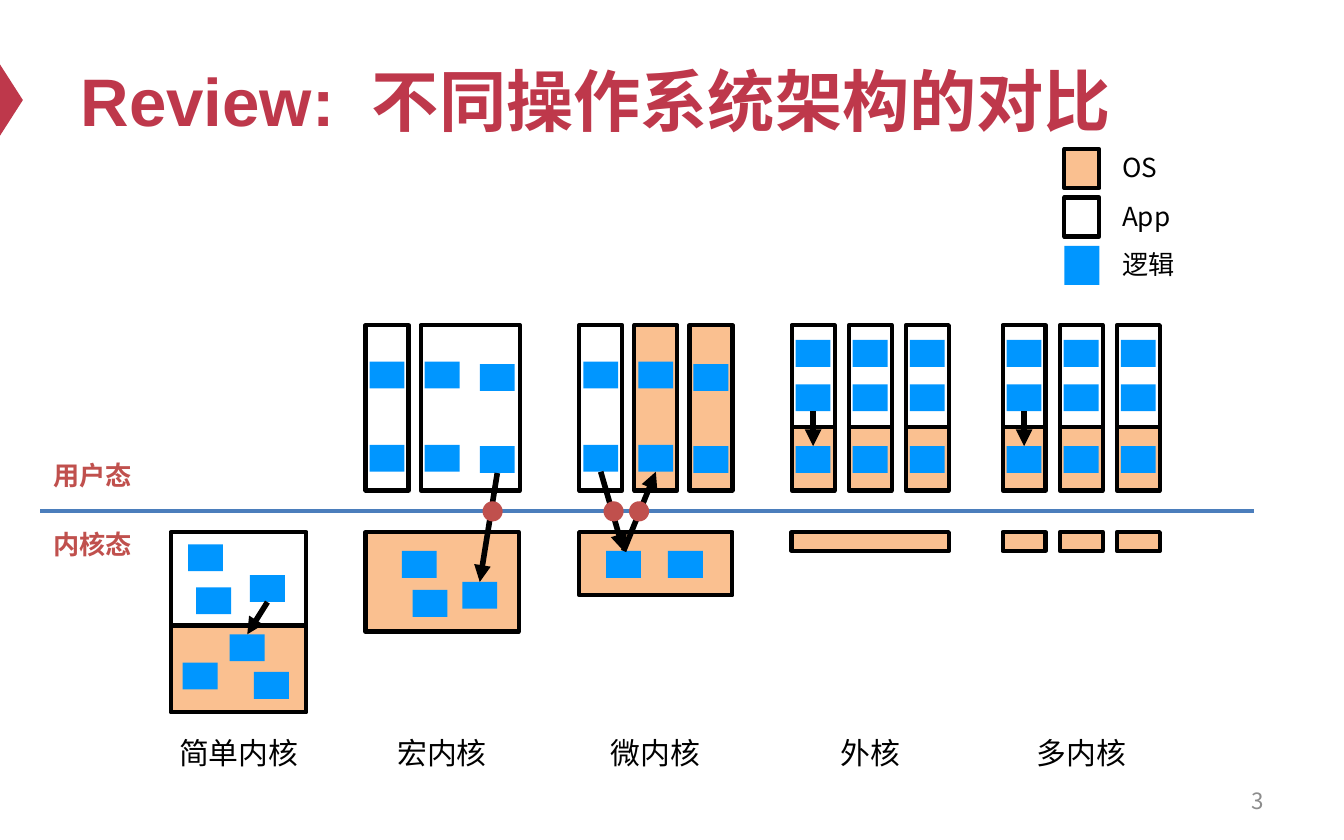
"""Build a slide comparing five operating system architectures."""
from pptx import Presentation, util as u
from pptx.dml.color import RGBColor
from pptx.enum import shapes, text
from pptx.oxml.ns import qn
from lxml import etree

RED = RGBColor(0xBE, 0x38, 0x4B)
BRICK = RGBColor(0xC0, 0x50, 0x4D)
ORANGE = RGBColor(0xFA, 0xC0, 0x90)
BLUE = RGBColor(0x00, 0x96, 0xFF)
DIVIDER = RGBColor(0x4B, 0x7E, 0xBC)
GREY = RGBColor(0x8C, 0x8C, 0x8C)
BLACK = RGBColor(0, 0, 0)
LATIN, CJK = "Arial", "Noto Sans CJK SC"
LEFT, CENTER, RIGHT = text.PP_ALIGN.LEFT, text.PP_ALIGN.CENTER, text.PP_ALIGN.RIGHT
RECT = shapes.MSO_SHAPE.RECTANGLE

TITLE = ["Review:", " ", "不同操作系统架构的对比"]
MODES = [("用户态", 3.37), ("内核态", 3.88)]
KERNELS = [("简单内核", 1.775), ("宏内核", 3.29), ("微内核", 4.875), ("外核", 6.475), ("多内核", 8.045)]
LEGEND = [("OS", ORANGE, BLACK), ("App", None, BLACK), ("逻辑", BLUE, None)]

MACRO, MICRO, EXO, MULTI = 2.72, 4.31, 5.89, 7.46
STEP, CORE_STEP, INSET, SLIM = 0.41, 0.425, 0.03, 0.32
USER_TOP, USER_HEIGHT, KERNEL_TOP = 2.42, 1.23, 3.96
APPS = [(1.27, KERNEL_TOP, 1.01, 0.7), (MACRO, USER_TOP, SLIM, USER_HEIGHT),
        (MACRO + STEP, USER_TOP, 0.74, USER_HEIGHT), (MICRO, USER_TOP, SLIM, USER_HEIGHT)]
SYSTEMS = [(1.27, 4.65, 1.01, 0.65), (MACRO, KERNEL_TOP, 1.14, 0.74),
           (MICRO, KERNEL_TOP, 1.14, 0.47), (EXO, KERNEL_TOP, 1.17, 0.14),
           (MICRO + STEP, USER_TOP, SLIM, USER_HEIGHT),
           (MICRO + 2 * STEP, USER_TOP, SLIM, USER_HEIGHT)]
LOGIC = [(1.4, 4.05), (1.86, 4.28), (1.46, 4.37), (1.71, 4.72), (1.36, 4.93), (1.89, 5),
         (2.99, 4.1), (3.44, 4.33), (3.07, 4.39), (4.51, 4.1), (4.97, 4.1)]
USER_ROWS = [(2.69, 2.69, 2.71), (3.31, 3.31, 3.32)]
CORE_ROWS = [2.53, 2.86, 3.32]
CALLS = [((1.86, 4.28), 2, (1.71, 4.72), 0), ((3.57, 3.32), 2, (3.44, 4.33), 0),
         ((4.34, 3.31), 2, (4.51, 4.1), 0), ((4.51, 4.1), 0, (4.75, 3.31), 2),
         ((5.92, 2.86), 2, (5.92, 3.32), 0), ((7.49, 2.86), 2, (7.49, 3.32), 0)]
CROSSINGS = [3.59, 4.49, 4.68]


def add_box(slide, place, fill=None, outline=None, kind=RECT):
    box = slide.shapes.add_shape(kind, *map(u.Inches, place))
    box.shadow.inherit = False
    if fill is None:
        box.fill.background()
    else:
        box.fill.solid()
        box.fill.fore_color.rgb = fill
    if outline is None:
        box.line.fill.background()
    else:
        box.line.color.rgb = outline
        box.line.width = u.Pt(2.25)
    return box


def add_span(para, words, size, color, bold=False, font=CJK):
    span = para.add_run()
    span.text = words
    span.font.size = u.Pt(size)
    span.font.bold = bold
    span.font.name = font
    span.font.color.rgb = color
    properties = span._r.get_or_add_rPr()
    etree.SubElement(properties, qn("a:ea")).set("typeface", CJK)
    return properties


def add_label(slide, words, place, size, color=BLACK, align=LEFT, bold=False, wrap=True):
    box = slide.shapes.add_textbox(*map(u.Inches, place))
    frame = box.text_frame
    frame.word_wrap = wrap
    frame.paragraphs[0].alignment = align
    add_span(frame.paragraphs[0], words, size, color, bold)
    return frame


def add_line(slide, ends, color, width, arrow=False):
    line = slide.shapes.add_connector(shapes.MSO_CONNECTOR.STRAIGHT, *map(u.Inches, ends))
    line.line.color.rgb = color
    line.line.width = u.Pt(width)
    if arrow:
        etree.SubElement(line.line._get_or_add_ln(), qn("a:tailEnd")).set("type", "triangle")
    etree.SubElement(line._element.spPr, qn("a:effectLst"))
    return line


def add_heading(slide):
    add_box(slide, (-0.18, 0.66, 0.53, 0.17), RED,
            kind=shapes.MSO_SHAPE.ISOSCELES_TRIANGLE).rotation = 90
    title = slide.shapes.title
    title.left, title.top, title.width, title.height = map(u.Inches, (0.5, 0.25, 9, 0.98))
    title.text_frame.vertical_anchor = text.MSO_ANCHOR.MIDDLE
    para = title.text_frame.paragraphs[0]
    para.alignment = LEFT
    for words in TITLE:
        properties = add_span(para, words, 36, RED, True, LATIN)
        if words == " ":
            properties.set("spc", "1000")


def add_architectures(slide):
    apps, systems, logic = list(APPS), list(SYSTEMS), list(LOGIC)
    for left in (MACRO, MICRO):
        logic += [(left + INSET + STEP * i, top)
                  for row in USER_ROWS for i, top in enumerate(row)]
    for left in (EXO, MULTI):
        for i in range(3):
            core = left + CORE_STEP * i
            apps.append((core, USER_TOP, SLIM, 0.76))
            systems.append((core, 3.18, SLIM, 0.47))
            logic += [(core + INSET, top) for top in CORE_ROWS]
            if left == MULTI:
                systems.append((core, KERNEL_TOP, SLIM, 0.14))
    for place in systems:
        add_box(slide, place, ORANGE, BLACK)
    for place in apps:
        add_box(slide, place, None, BLACK)
    blocks = {(round(x, 2), y): add_box(slide, (x, y, 0.26, 0.2), BLUE) for x, y in logic}
    for source, source_side, target, target_side in CALLS:
        call = add_line(slide, (*source, *target), BLACK, 3, arrow=True)
        call.begin_connect(blocks[source], source_side)
        call.end_connect(blocks[target], target_side)
    for left in CROSSINGS:
        add_box(slide, (left, 3.73, 0.15, 0.15), BRICK, kind=shapes.MSO_SHAPE.OVAL)


def main():
    deck = Presentation()
    deck.slide_width, deck.slide_height = u.Inches(10), u.Inches(6.25)
    page = deck.slides.add_slide(deck.slide_layouts[5])
    add_heading(page)
    add_line(page, (0.3, 3.8, 9.33, 3.8), DIVIDER, 2.25)
    add_architectures(page)
    for words, top in MODES:
        add_label(page, words, (0.3, top, 0.79, 0.34), 14, BRICK, bold=True, wrap=False)
    for words, middle in KERNELS:
        add_label(page, words, (middle - 0.695, 5.42, 1.39, 0.37), 16, align=CENTER)
    for i, (words, fill, outline) in enumerate(LEGEND):
        top = 1.11 + 0.36 * i
        add_box(page, (7.92, top, 0.26, 0.29), fill, outline)
        add_label(page, words, (8.25, top - 0.03, 0.72, 0.34), 14)
    number = add_label(page, "3", (7.17, 5.79, 2.33, 0.33), 12, GREY, RIGHT)
    number.vertical_anchor = text.MSO_ANCHOR.MIDDLE
    deck.save("out.pptx")


if __name__ == "__main__":
    main()
